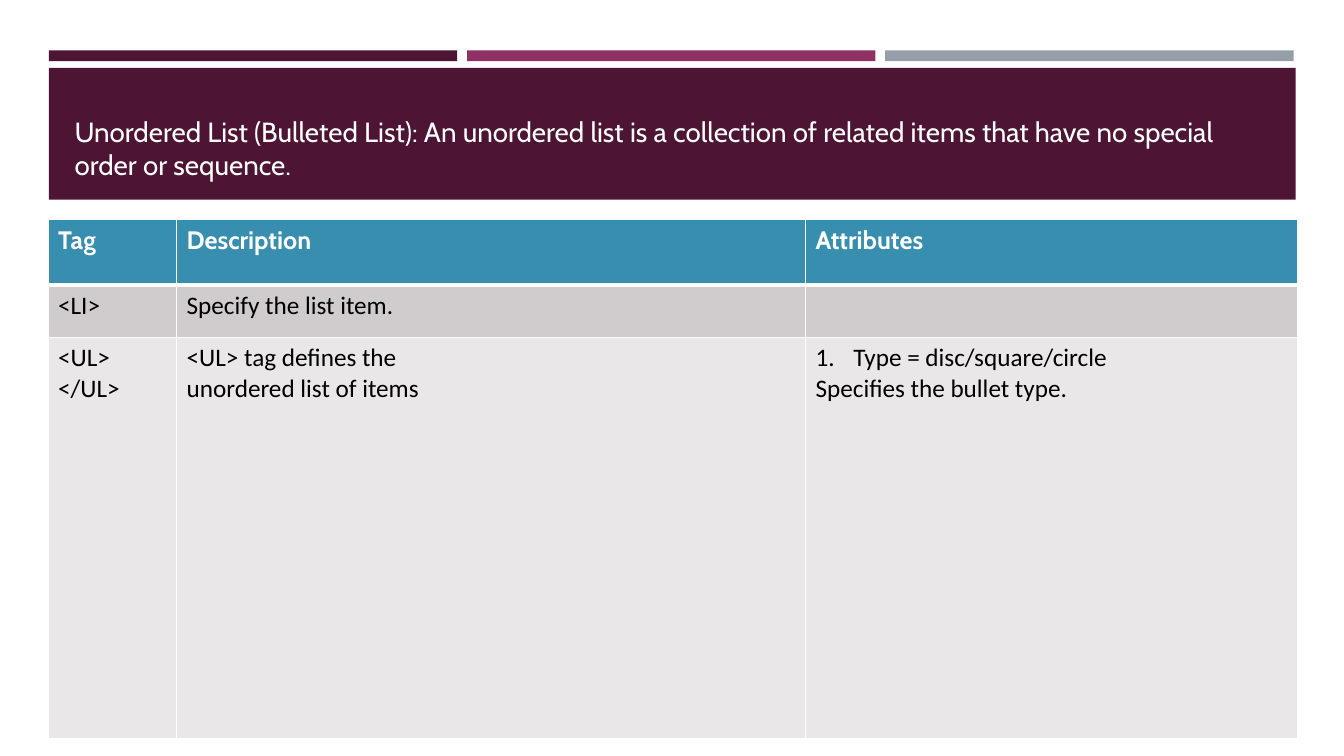
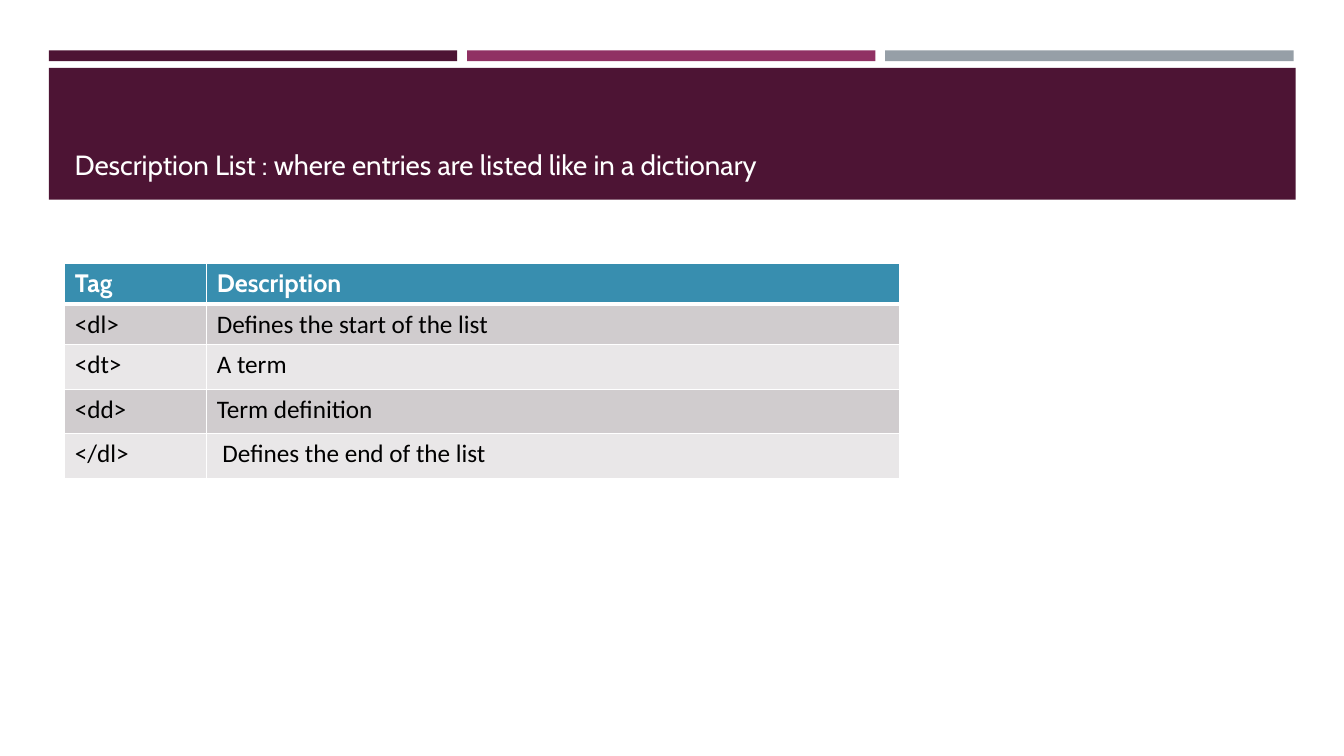
from dataclasses import dataclass

import pptx
import pptx.dml.color
import pptx.enum.shapes
import pptx.enum.text
import pptx.oxml
import pptx.oxml.ns
import pptx.util
from pptx.util import Cm, Pt

COLORS = {
    "plum": "4D1434",
    "magenta": "903163",
    "gray": "969FA7",
    "teal": "388EAF",
    "row_dark": "D0CCCE",
    "row_light": "E9E7E8",
    "white": "FFFFFF",
    "black": "000000",
}
HEAD_FONT, BODY_FONT = "Cabin", "Calibri"
LEFT, BAR_WIDTH, BAR_STEP = 1.23, 10.29, 10.54
NUMBERED = "1. "  # marks a numbered paragraph


@dataclass
class TableSpec:
    left: float
    top: float
    cols: list[float]
    rows: list[float]
    cells: list[list[str]]


@dataclass
class SlideSpec:
    title: str
    table: TableSpec


SLIDES = [
    SlideSpec(
        "Unordered List (Bulleted List): An unordered list is a collection of "
        "related items that have no special order or sequence.",
        TableSpec(1.21, 5.54, [3.24, 15.85, 12.4], [1.65, 1.32, 10.11], [
            ["Tag", "Description", "Attributes"],
            ["<LI>", "Specify the list item.", ""],
            ["<UL>\n</UL>",
             "<UL> tag defines the\nunordered list of items",
             "1. Type = disc/square/circle\nSpecifies the bullet type."],
        ]),
    ),
    SlideSpec(
        "Description List : where entries are listed like in a dictionary",
        TableSpec(1.63, 6.63, [3.58, 17.45], [1.03, 1.03, 1.12, 1.12, 1.12], [
            ["Tag", "Description"],
            ["<dl>", "Defines the start of the list"],
            ["<dt>", "A term"],
            ["<dd>", "Term definition"],
            ["</dl>", " Defines the end of the list"],
        ]),
    ),
]


def rgb(name: str) -> pptx.dml.color.RGBColor:
    return pptx.dml.color.RGBColor.from_string(COLORS[name])


def set_font(p, name: str, size: float, color: str, bold: bool = False) -> None:
    p.font.name = name
    p.font.size = Pt(size)
    p.font.bold = bold
    p.font.color.rgb = rgb(color)


def add_rect(s, left: float, top: float, width: float, height: float, color: str) -> None:
    sp = s.shapes.add_shape(pptx.enum.shapes.MSO_SHAPE.RECTANGLE,
                            Cm(left), Cm(top), Cm(width), Cm(height))
    sp.shadow.inherit = False
    sp.fill.solid()
    sp.fill.fore_color.rgb = rgb(color)
    sp.line.fill.background()


def add_header(s, title: str) -> None:
    # Three bars above the title band
    for i, color in enumerate(("plum", "magenta", "gray")):
        add_rect(s, LEFT + i * BAR_STEP, 1.27, BAR_WIDTH, 0.27, color)
    add_rect(s, LEFT, 1.71, 31.42, 3.32, "plum")

    # Title
    tf = s.shapes.add_textbox(Cm(1.63), Cm(1.88), Cm(30.63), Cm(2.82)).text_frame
    tf.word_wrap = True
    tf.vertical_anchor = pptx.enum.text.MSO_ANCHOR.BOTTOM
    p = tf.paragraphs[0]
    p.text = title
    set_font(p, HEAD_FONT, 19.8, "white")


def set_borders(cell, row: int) -> None:
    widths = {"L": 1, "R": 1, "T": 3 if row == 1 else 1, "B": 3 if row == 0 else 1}
    tc_pr = cell._tc.get_or_add_tcPr()
    for side, width in widths.items():
        tc_pr.append(pptx.oxml.parse_xml(
            f'<a:ln{side} {pptx.oxml.ns.nsdecls("a")} w="{Pt(width)}"><a:solidFill>'
            f'<a:srgbClr val="{COLORS["white"]}"/></a:solidFill></a:ln{side}>'))


def add_number(p) -> None:
    p_pr = p._p.get_or_add_pPr()
    p_pr.set("marL", str(Cm(0.95)))
    p_pr.set("indent", str(-Cm(0.95)))
    p_pr.append(pptx.oxml.parse_xml(
        f'<a:buAutoNum {pptx.oxml.ns.nsdecls("a")} type="arabicPeriod"/>'))


def fill_cell(cell, row: int, text: str) -> None:
    set_borders(cell, row)
    cell.fill.solid()
    band = "row_dark" if row % 2 else "row_light"
    cell.fill.fore_color.rgb = rgb("teal" if row == 0 else band)
    tf = cell.text_frame
    for i, line in enumerate(text.split("\n")):
        p = tf.add_paragraph() if i else tf.paragraphs[0]
        if line.startswith(NUMBERED):
            add_number(p)
        p.text = line.removeprefix(NUMBERED)
        if row == 0:
            set_font(p, HEAD_FONT, 18, "white", bold=True)
        else:
            set_font(p, BODY_FONT, 18, "black")


def add_table(s, spec: TableSpec) -> None:
    table = s.shapes.add_table(len(spec.rows), len(spec.cols), Cm(spec.left), Cm(spec.top),
                               Cm(sum(spec.cols)), Cm(sum(spec.rows))).table
    for col, width in zip(table.columns, spec.cols):
        col.width = Cm(width)
    for r, height in enumerate(spec.rows):
        table.rows[r].height = Cm(height)
        for c, text in enumerate(spec.cells[r]):
            fill_cell(table.cell(r, c), r, text)


def main() -> None:
    prs = pptx.Presentation()
    prs.slide_width, prs.slide_height = Cm(33.87), Cm(19.05)
    for spec in SLIDES:
        s = prs.slides.add_slide(prs.slide_layouts[6])
        add_header(s, spec.title)
        add_table(s, spec.table)
    prs.save("out.pptx")


if __name__ == "__main__":
    main()
